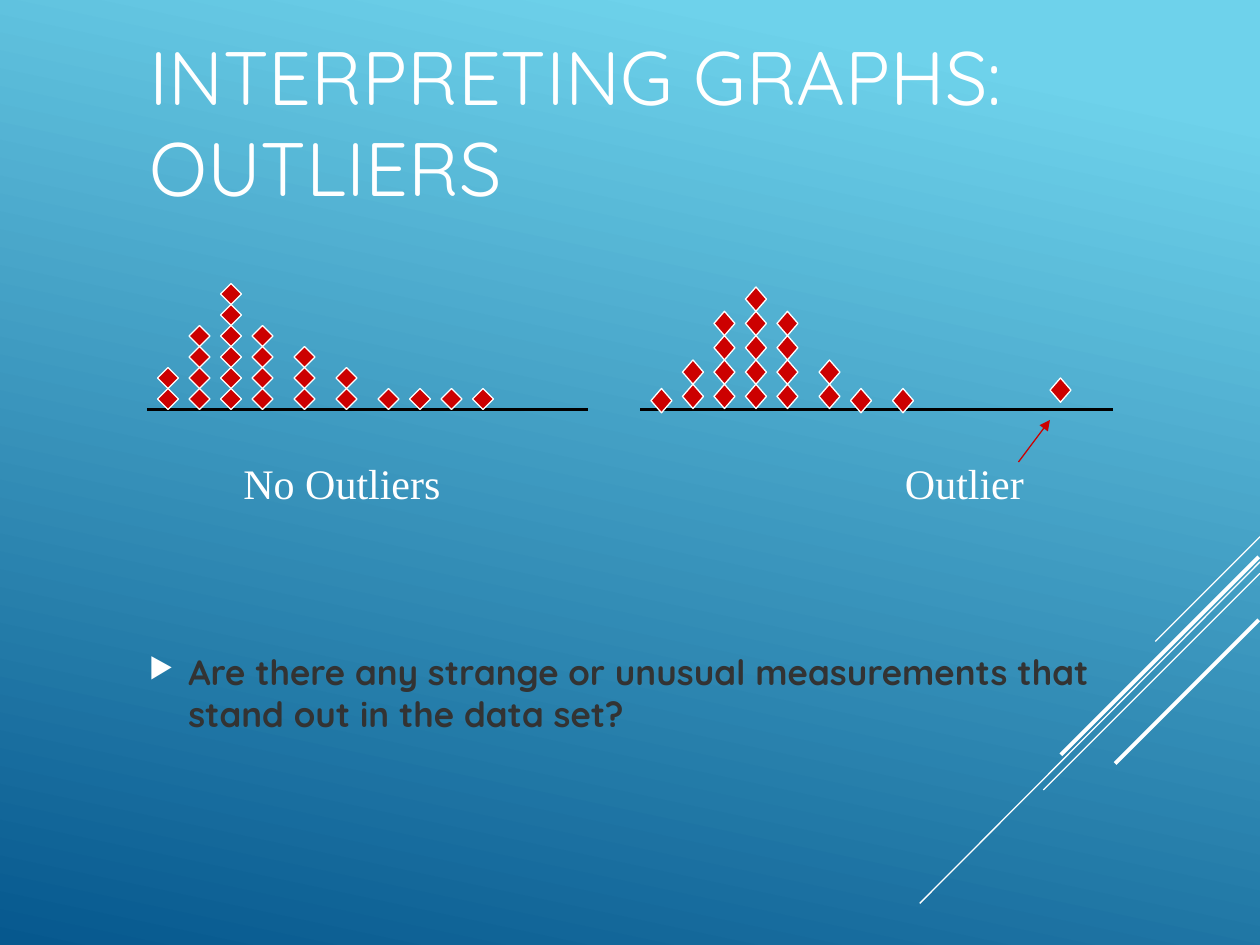
from dataclasses import dataclass

import pptx
import pptx.dml.color
import pptx.enum.shapes
import pptx.enum.text
import pptx.oxml.ns
import pptx.util
from lxml import etree
from pptx.util import Pt

COLORS = {
    "sky": "6ED2EB",
    "deep": "06588E",
    "white": "FFFFFF",
    "axis": "000000",
    "dot": "CC0000",
    "question": "333333",
}
HEADING_FONT = "Quicksand"
LABEL_FONT = "Times New Roman"


@dataclass
class Line:
    start: tuple[float, float]
    end: tuple[float, float]
    color: str = "white"
    weight: float = 0.75
    arrow: bool = False


@dataclass
class Stack:
    left: float
    count: int
    bottom: float


@dataclass
class DotPlot:
    axis: Line
    dot_height: float
    stacks: list[Stack]
    label: str
    label_box: tuple[float, float, float, float]


CORNER_LINES = [
    Line((720, 306.7), (660.2, 366.5)),
    Line((720, 321.1), (525.6, 516.2)),
    Line((720, 327.6), (596.2, 451.4)),
    Line((719.3, 318.2), (606.2, 431.3), weight=2.25),
    Line((719.3, 354.2), (637.2, 436.3), weight=2.25),
]

PLOTS = [
    DotPlot(
        axis=Line((366, 234), (636, 234), "axis", 2.25),
        dot_height=13.9,
        stacks=[Stack(left, count, 233.5) for left, count in
                [(390, 2), (408, 4), (426, 5), (444, 4), (468, 2)]]
        + [Stack(left, 1, 235.9) for left in (372, 486, 510)]
        + [Stack(600, 1, 229.9)],
        label="Outlier",
        label_box=(510, 258, 84, 36),
    ),
    DotPlot(
        axis=Line((84, 234), (336, 234), "axis", 2.25),
        dot_height=12,
        stacks=[Stack(left, count, 234) for left, count in
                [(90, 2), (108, 4), (126, 6), (144, 4), (168, 3), (192, 2),
                 (216, 1), (234, 1), (252, 1), (270, 1)]],
        label="No Outliers",
        label_box=(132, 258, 138, 36),
    ),
]
DOT_WIDTH = 12
OUTLIER_ARROW = Line((582, 264), (600, 240), "dot", arrow=True)


def rgb(name: str) -> pptx.dml.color.RGBColor:
    return pptx.dml.color.RGBColor.from_string(COLORS[name])


def add_element(parent, tag: str, **attributes: str):
    return etree.SubElement(parent, pptx.oxml.ns.qn(tag), attributes)


def write_text(shape, text: str, *, box: tuple[float, float, float, float],
               font: str, size: float, color: str = "white", bold: bool = False,
               middle: bool = False, space_after: float = 0):
    """Place the shape, fill it with one formatted paragraph and return that."""
    shape.left, shape.top, shape.width, shape.height = map(Pt, box)
    frame = shape.text_frame
    frame.word_wrap = True
    frame.auto_size = pptx.enum.text.MSO_AUTO_SIZE.NONE
    anchor = pptx.enum.text.MSO_ANCHOR
    frame.vertical_anchor = anchor.MIDDLE if middle else anchor.TOP
    paragraph = frame.paragraphs[0]
    paragraph.alignment = pptx.enum.text.PP_ALIGN.LEFT
    paragraph.space_after = Pt(space_after)
    run = paragraph.add_run()
    run.text = text
    run.font.name = font
    run.font.size = Pt(size)
    run.font.bold = bold
    run.font.color.rgb = rgb(color)
    return paragraph


def add_text_box(slide):
    return slide.shapes.add_textbox(0, 0, Pt(72), Pt(72))


def add_bullet(paragraph, indent: float) -> None:
    properties = paragraph._p.get_or_add_pPr()
    properties.set("marL", str(Pt(indent)))
    properties.set("indent", str(-Pt(indent)))
    bullet_color = add_element(properties, "a:buClr")
    add_element(bullet_color, "a:srgbClr", val=COLORS["white"])
    add_element(properties, "a:buSzPct", val="80000")
    add_element(properties, "a:buChar", char="▶")


def draw_line(slide, line: Line) -> None:
    connector = slide.shapes.add_connector(
        pptx.enum.shapes.MSO_CONNECTOR.STRAIGHT,
        *map(Pt, line.start), *map(Pt, line.end))
    connector.line.color.rgb = rgb(line.color)
    connector.line.width = Pt(line.weight)
    if line.arrow:
        add_element(connector.line._get_or_add_ln(), "a:tailEnd", type="triangle")
    add_element(connector._element.spPr, "a:effectLst")


def draw_dot(slide, left: float, top: float, height: float) -> None:
    dot = slide.shapes.add_shape(
        pptx.enum.shapes.MSO_SHAPE.DIAMOND,
        Pt(left), Pt(top), Pt(DOT_WIDTH), Pt(height))
    dot.shadow.inherit = False
    dot.fill.solid()
    dot.fill.fore_color.rgb = rgb("dot")
    dot.line.color.rgb = rgb("white")
    dot.line.width = Pt(0.75)


def draw_plot(slide, plot: DotPlot) -> None:
    draw_line(slide, plot.axis)
    for stack in plot.stacks:
        for level in range(1, stack.count + 1):
            draw_dot(slide, stack.left, stack.bottom - level * plot.dot_height,
                     plot.dot_height)
    write_text(add_text_box(slide), plot.label, box=plot.label_box,
               font=LABEL_FONT, size=24)


def paint_background(slide) -> None:
    fill = slide.background.fill
    fill.gradient()
    fill.gradient_angle = 258
    for stop, name, position in zip(fill.gradient_stops, ("sky", "deep"), (0.1, 1)):
        stop.color.rgb = rgb(name)
        stop.position = position


def main() -> None:
    presentation = pptx.Presentation()
    presentation.slide_width, presentation.slide_height = Pt(720), Pt(540)
    slide = presentation.slides.add_slide(presentation.slide_layouts[5])
    paint_background(slide)
    for line in CORNER_LINES:
        draw_line(slide, line)
    write_text(slide.shapes.title, "INTERPRETING GRAPHS: OUTLIERS",
               box=(78, 24, 612, 90), font=HEADING_FONT, size=43.2, middle=True)
    question = write_text(
        add_text_box(slide),
        "Are there any strange or unusual measurements that stand out in the data set?",
        box=(78, 324, 558, 144), font=HEADING_FONT, size=20, color="question",
        bold=True, middle=True, space_after=6)
    add_bullet(question, 22.5)
    for plot in PLOTS:
        draw_plot(slide, plot)
    draw_line(slide, OUTLIER_ARROW)
    presentation.save("out.pptx")


if __name__ == "__main__":
    main()
